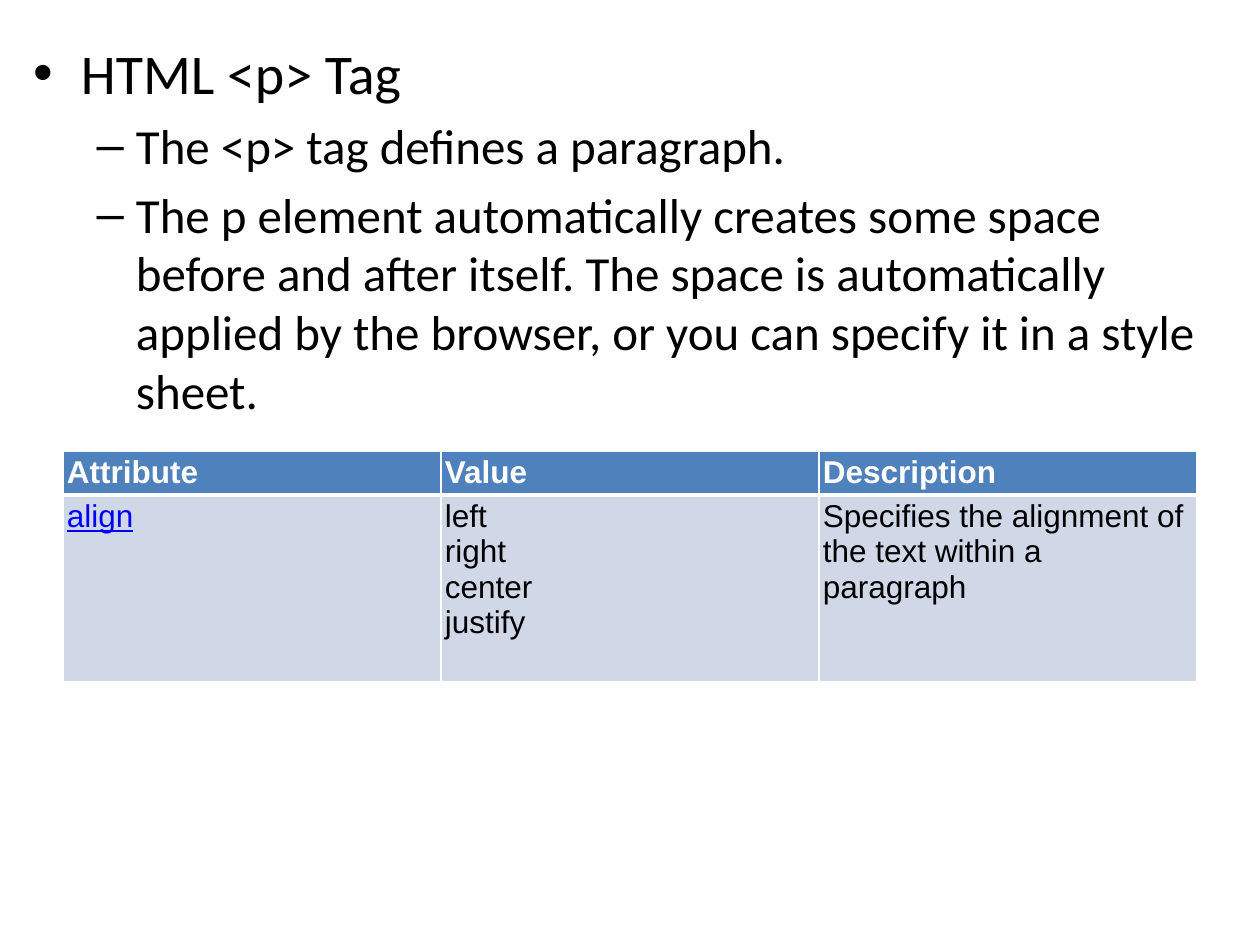
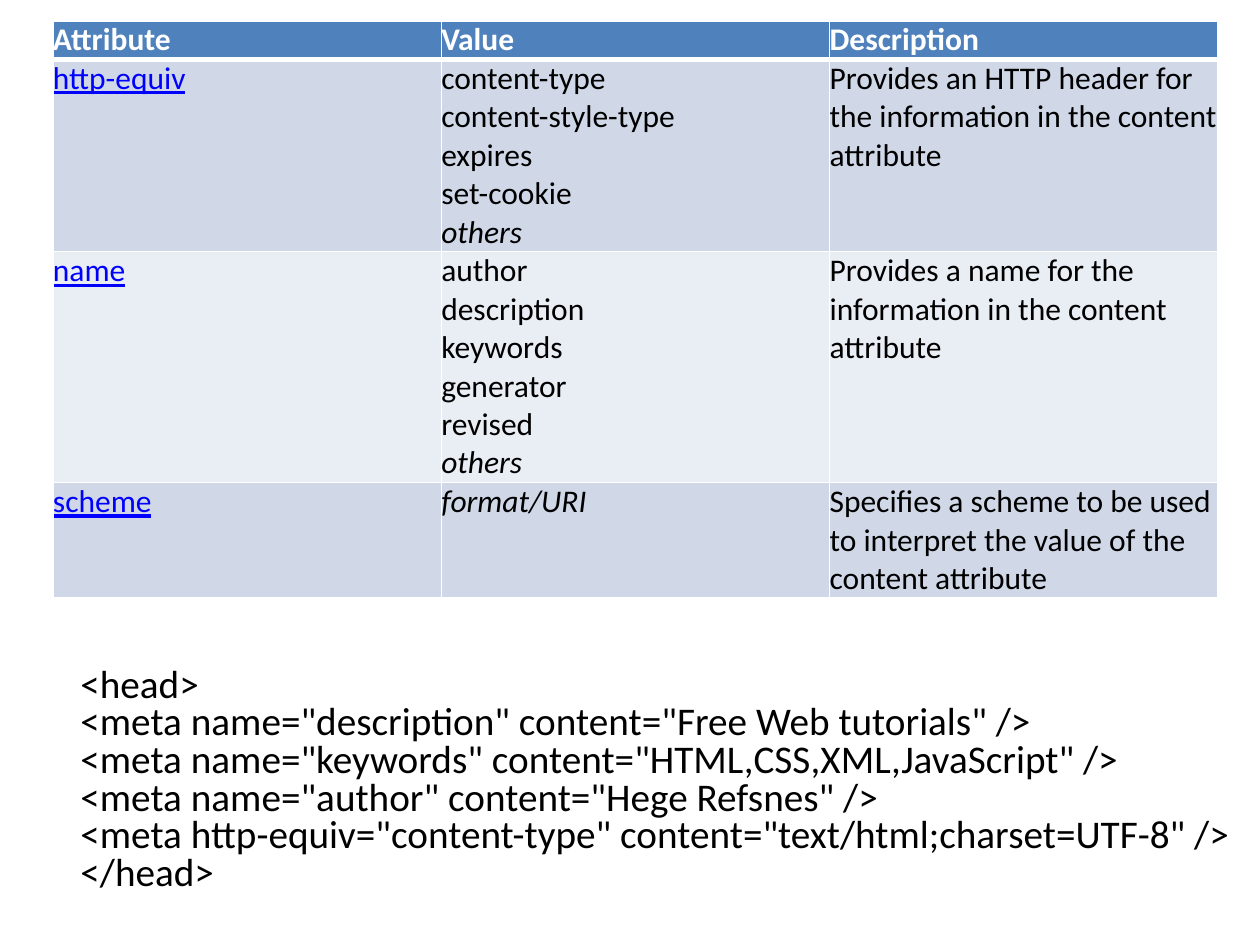
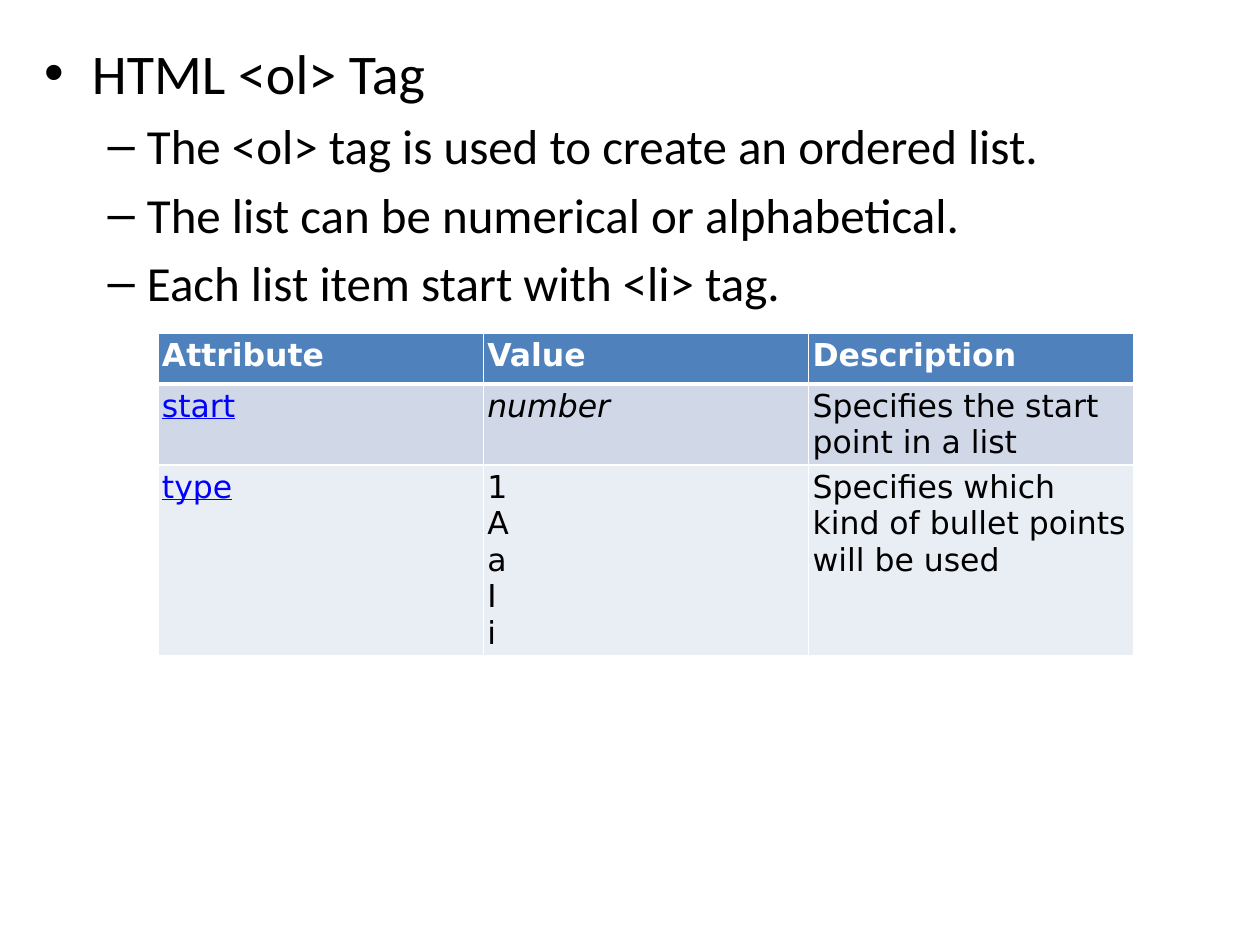
from lxml import etree
from pptx import Presentation, util as u
from pptx.dml.color import RGBColor
from pptx.oxml.ns import qn

COLORS = {"text": "000000", "white": "FFFFFF", "link": "0000FF",
          "header": "4F81BD", "odd": "D0D8E8", "even": "E9EDF4"}
BODY_SIZES = [32, 28]
HEADINGS = ["Attribute", "Value", "Description"]
TITLE_AND_CONTENT, BLANK = 1, 6


def px(length):
    return u.Emu(round(length * 914400 / 126))


def write(paragraph, content, font="Calibri", size=18, color="text",
          bold=False, italic=False, underline=False):
    """Add formatted text; a newline becomes a line break."""
    for index, line in enumerate(content.split("\n")):
        if index:
            paragraph.add_line_break()
        if not line:
            continue
        run = paragraph.add_run()
        run.text = line
        run.font.name, run.font.size = font, u.Pt(size)
        run.font.bold, run.font.italic = bold, italic
        run.font.underline = underline
        run.font.color.rgb = RGBColor.from_string(COLORS[color])


def add_outline(slide, box, items):
    """Fill the content placeholder with (level, text) bullets."""
    title = slide.shapes.title
    title.element.getparent().remove(title.element)
    body = slide.placeholders[1]
    body.left, body.top, body.width, body.height = map(px, box)
    for index, (level, content) in enumerate(items):
        frame = body.text_frame
        paragraph = frame.add_paragraph() if index else frame.paragraphs[0]
        paragraph.level = level
        write(paragraph, content, size=BODY_SIZES[level])


def set_borders(cell, bottom):
    properties = cell._tc.get_or_add_tcPr()
    for side, points in (("L", 1), ("R", 1), ("T", 1), ("B", bottom)):
        line = etree.SubElement(properties, qn(f"a:ln{side}"), w=str(u.Pt(points)))
        fill = etree.SubElement(line, qn("a:solidFill"))
        etree.SubElement(fill, qn("a:srgbClr"), val=COLORS["white"])


def add_attribute_table(slide, left, top, width, heights, rows, font, inset):
    """Rows hold a name, a plain value, an italic value and a description."""
    shape = slide.shapes.add_table(len(heights), 3, px(left), px(top),
                                   px(width), px(sum(heights)))
    table = shape.table
    for column in table.columns:
        column.width = px(width / 3)
    for row, height in zip(table.rows, heights):
        row.height = px(height)

    # Each cell is a list of (text, format) pieces
    header = [[(heading, dict(color="white", bold=True))] for heading in HEADINGS]
    body = [[[(name, dict(color="link", underline=True))],
             [(plain, {}), (italic, dict(italic=True))],
             [(description, {})]]
            for name, plain, italic, description in rows]
    for row_index, cells in enumerate([header] + body):
        fill = "header" if row_index == 0 else ("even", "odd")[row_index % 2]
        for column_index, pieces in enumerate(cells):
            cell = table.cell(row_index, column_index)
            cell.margin_left = cell.margin_right = px(inset)
            cell.margin_top = cell.margin_bottom = px(inset)
            set_borders(cell, bottom=1 if row_index else 3)
            cell.fill.solid()
            cell.fill.fore_color.rgb = RGBColor.from_string(COLORS[fill])
            for content, style in pieces:
                write(cell.text_frame.paragraphs[0], content, font=font, **style)


def add_code(slide, box, code):
    frame = slide.shapes.add_textbox(*map(px, box)).text_frame
    frame.word_wrap = True
    paragraph = frame.paragraphs[0]
    paragraph.line_spacing = 0.8
    paragraph.space_before = u.Pt(4.5)
    paragraph._p.get_or_add_pPr().set("marL", str(px(47)))
    write(paragraph, code, size=22.4)


presentation = Presentation()
presentation.slide_width, presentation.slide_height = px(1260), px(945)


def new_slide(layout):
    return presentation.slides.add_slide(presentation.slide_layouts[layout])


# Paragraph tag
slide = new_slide(TITLE_AND_CONTENT)
add_outline(slide, (21, 32, 1207, 882), [
    (0, "HTML\u00a0<p>\u00a0Tag"),
    (1, "The <p> tag defines a paragraph."),
    (1, "The p element automatically creates some space before and after "
        "itself. The space is automatically applied by the browser, or you "
        "can specify it in a style sheet."),
])
add_attribute_table(slide, 63, 451, 1134, [44, 187], [
    ("align", "left\nright\ncenter\njustify", "",
     "Specifies the alignment of the text within a paragraph"),
], font="Arial", inset=4)

# Meta tag attributes and example
slide = new_slide(BLANK)
add_attribute_table(slide, 53, 21, 1165, [38, 192, 231, 115], [
    ("http-equiv", "content-type\ncontent-style-type\nexpires\nset-cookie\n", "others",
     "Provides an HTTP header for the information in the content attribute"),
    ("name", "author\ndescription\nkeywords\ngenerator\nrevised\n", "others",
     "Provides a name for the information in the content attribute"),
    ("scheme", "", "format/URI",
     "Specifies a scheme to be used to interpret the value of the content attribute"),
], font="Calibri", inset=0)
add_code(slide, (21, 662, 1229, 273), """<head>
<meta name="description" content="Free Web tutorials" />
<meta name="keywords" content="HTML,CSS,XML,JavaScript" />
<meta name="author" content="Hege Refsnes" />
<meta http-equiv="content-type" content="text/html;charset=UTF-8" />
</head>""")

# Ordered list tag
slide = new_slide(TITLE_AND_CONTENT)
add_outline(slide, (32, 32, 1166, 813), [
    (0, "HTML\u00a0<ol>\u00a0Tag"),
    (1, "The <ol> tag is used to create an ordered list."),
    (1, "The list can be numerical or alphabetical."),
    (1, "Each list item start with <li> tag."),
])
add_attribute_table(slide, 158, 333, 976, [51, 81, 190], [
    ("start", "", "number", "Specifies the start point in a list"),
    ("type", "1\nA\na\nI\ni", "",
     "Specifies which kind of bullet points will be used"),
], font="DejaVu Sans", inset=4)

presentation.save("out.pptx")
